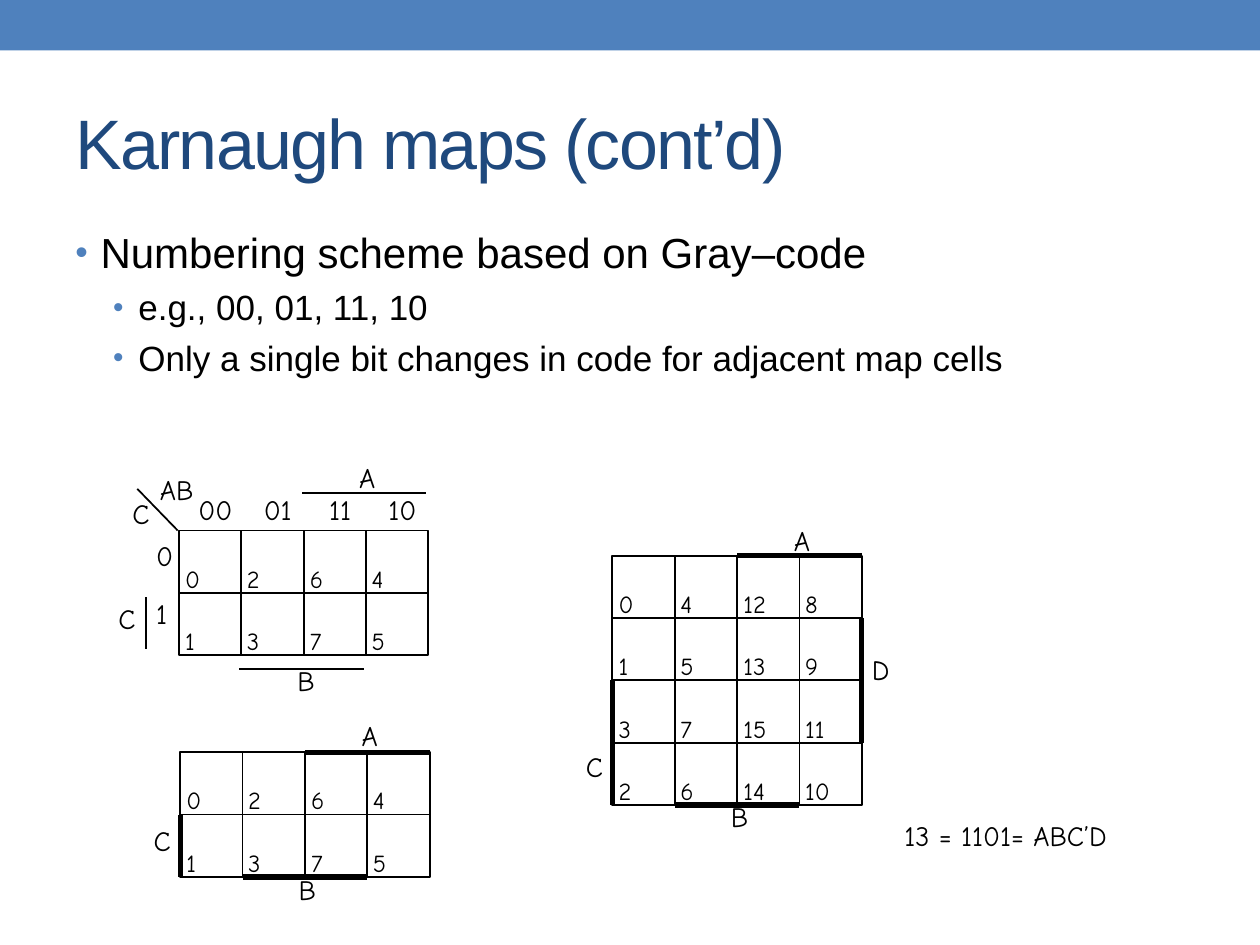
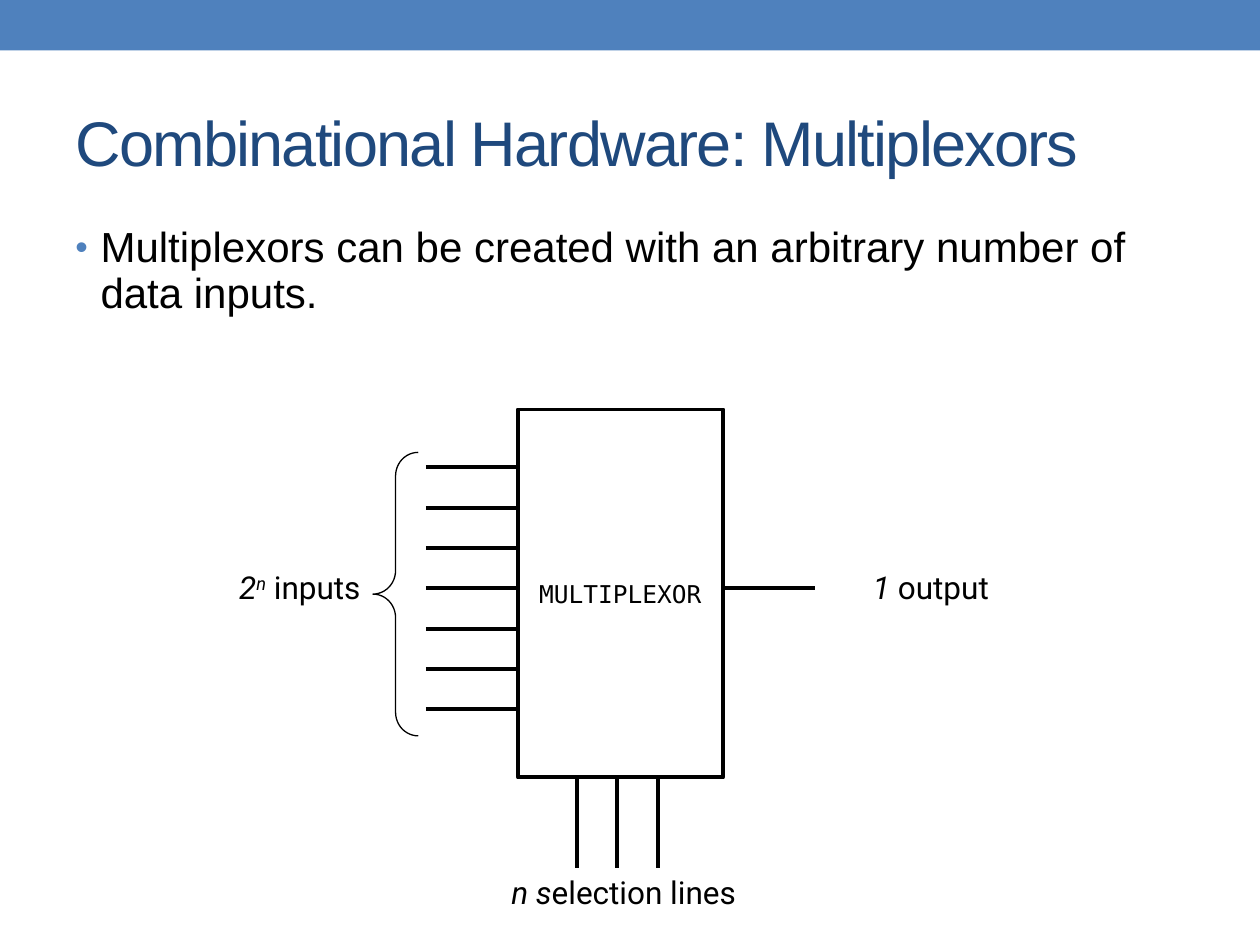
from lxml.etree import SubElement
from pptx import Presentation
from pptx.dml.color import RGBColor
from pptx.enum.shapes import MSO_CONNECTOR, MSO_SHAPE
from pptx.enum.text import MSO_ANCHOR, PP_ALIGN
from pptx.oxml.ns import qn
from pptx.util import Inches, Pt

BLUE, NAVY, BLACK, WHITE = "4F81BD", "1F497D", "000000", "FFFFFF"
BODY_FONT, MAP_FONT, CODE_FONT, LABEL_FONT = "Arial", "Comic Neue", "DejaVu Sans Mono", "Roboto"
QUAD = 0.99
CELL = QUAD / 2


def color(value):
    return RGBColor.from_string(value)


def write_text(paragraph, text, size=18, font=BODY_FONT, fill=BLACK,
               italic=False, spacing=None, baseline=None):
    run = paragraph.add_run()
    run.text = text
    run.font.size = Pt(size)
    run.font.name = font
    run.font.italic = italic
    run.font.color.rgb = color(fill)
    properties = run.font._element
    if spacing is not None:
        properties.set("spc", str(spacing))
    if baseline is not None:
        properties.set("baseline", str(baseline))


class Deck:
    """Holds the shared style and the slide being drawn."""

    def __init__(self):
        self.presentation = Presentation()
        self.presentation.slide_width = Inches(10)
        self.presentation.slide_height = Inches(7.5)
        self.slide = None

    def new_slide(self, title, size):
        layout = self.presentation.slide_layouts[6]
        self.slide = self.presentation.slides.add_slide(layout)
        self.shape(MSO_SHAPE.RECTANGLE, 0, 0, 10, 0.4, fill=BLUE)
        frame = self.text_frame(0.5, 0.58, 9, 1.08)
        frame.vertical_anchor = MSO_ANCHOR.MIDDLE
        write_text(frame.paragraphs[0], title, size=size, fill=NAVY, spacing=-100)

    def shape(self, kind, left, top, width, height, fill=None, line_width=None):
        shape = self.slide.shapes.add_shape(
            kind, Inches(left), Inches(top), Inches(width), Inches(height))
        shape.shadow.inherit = False
        if fill:
            shape.fill.solid()
            shape.fill.fore_color.rgb = color(fill)
        else:
            shape.fill.background()
        if line_width:
            shape.line.color.rgb = color(BLACK)
            shape.line.width = Pt(line_width)
        else:
            shape.line.fill.background()
        return shape

    def line(self, start_x, start_y, end_x, end_y, width=1):
        connector = self.slide.shapes.add_connector(
            MSO_CONNECTOR.STRAIGHT, Inches(start_x), Inches(start_y),
            Inches(end_x), Inches(end_y))
        connector.line.color.rgb = color(BLACK)
        connector.line.width = Pt(width)
        SubElement(connector._element.spPr, qn("a:effectLst"))
        return connector

    def text_frame(self, left, top, width, height, wrap=True, inset=None):
        box = self.slide.shapes.add_textbox(
            Inches(left), Inches(top), Inches(width), Inches(height))
        frame = box.text_frame
        frame.word_wrap = wrap
        if inset:
            frame.margin_left = frame.margin_right = Inches(inset[0])
            frame.margin_top = frame.margin_bottom = Inches(inset[1])
        return frame

    def bullets(self, items, line_spacing=None):
        frame = self.text_frame(0.5, 1.75, 9, 5.33)
        for index, (level, text) in enumerate(items):
            paragraph = frame.add_paragraph() if index else frame.paragraphs[0]
            paragraph.level = level
            paragraph.space_before = Pt(5 if index else 3)
            if line_spacing:
                paragraph.line_spacing = line_spacing
            properties = paragraph._element.get_or_add_pPr()
            properties.set("marL", str(Inches(0.5 if level else 0.2)))
            properties.set("indent", str(Inches(-0.2)))
            bullet_color = SubElement(properties, qn("a:buClr"))
            SubElement(bullet_color, qn("a:srgbClr"), val=BLUE)
            SubElement(properties, qn("a:buSzPct"), val="85000")
            SubElement(properties, qn("a:buFont"), typeface=BODY_FONT)
            SubElement(properties, qn("a:buChar"), char="•")
            write_text(paragraph, text, size=20 if level else 24)

    def map_label(self, text, left, top, width=0.63, align=PP_ALIGN.LEFT):
        frame = self.text_frame(left, top, width, 0.36, wrap=False, inset=(0.02, 0.03))
        paragraph = frame.paragraphs[0]
        paragraph.alignment = align
        paragraph.line_spacing = Pt(15.8)
        write_text(paragraph, text, size=16, font=MAP_FONT)

    def quad(self, left, top, rows):
        frame = self.text_frame(left + 0.03, top + 0.22, 0.89, 0.88,
                                wrap=False, inset=(0.02, 0.03))
        for index, row in enumerate(rows):
            paragraph = frame.add_paragraph() if index else frame.paragraphs[0]
            paragraph.line_spacing = Pt(17.8)
            paragraph.space_before = Pt(17.8 if index else 0)
            tabs = SubElement(paragraph._element.get_or_add_pPr(), qn("a:tabLst"))
            SubElement(tabs, qn("a:tab"), pos=str(Inches(0.49)), algn="l")
            write_text(paragraph, "\t".join(map(str, row)), size=14, font=MAP_FONT)
        square = self.shape(MSO_SHAPE.RECTANGLE, left, top, QUAD, QUAD, line_width=1)
        for begin, end in ((0, 2), (1, 3)):
            divider = self.line(left, top, left + QUAD, top + QUAD)
            divider.begin_connect(square, begin)
            divider.end_connect(square, end)

    def karnaugh_map(self, left, top, cells):
        for row in range(0, len(cells), 2):
            for column in (0, 2):
                self.quad(left + column * CELL, top + row * CELL,
                          [line[column:column + 2] for line in cells[row:row + 2]])

    def edge(self, left, top, start, end):
        self.line(left + start[0] * CELL, top + start[1] * CELL,
                  left + end[0] * CELL, top + end[1] * CELL, width=3)

    def label(self, runs, left, top, width, align=PP_ALIGN.LEFT):
        paragraph = self.text_frame(left, top, width, 0.4).paragraphs[0]
        paragraph.alignment = align
        for text, style in runs:
            write_text(paragraph, text, font=LABEL_FONT, **style)


def draw_karnaugh_slide(deck):
    deck.new_slide("Karnaugh maps (cont’d)", 40)
    deck.bullets([
        (0, "Numbering scheme based on Gray–code"),
        (1, "e.g., 00, 01, 11, 10"),
        (1, "Only a single bit changes in code for adjacent map cells"),
    ])
    three_variables = [(0, 2, 6, 4), (1, 3, 7, 5)]
    four_variables = [(0, 4, 12, 8), (1, 5, 13, 9), (3, 7, 15, 11), (2, 6, 14, 10)]

    deck.karnaugh_map(1.42, 4.21, three_variables)
    for column, code in enumerate(("00", "01", "11", "10")):
        deck.map_label(code, 1.41 + column * CELL, 3.93, 0.6, PP_ALIGN.CENTER)
    for ends in ((1.41, 4.21, 1.09, 3.88), (2.4, 3.91, 3.38, 3.91),
                 (1.9, 5.31, 2.89, 5.31), (1.16, 4.74, 1.16, 5.15)):
        deck.line(*ends)

    deck.karnaugh_map(1.43, 5.97, three_variables)
    for start, end in (((2, 0), (4, 0)), ((1, 2), (3, 2)), ((0, 1), (0, 2))):
        deck.edge(1.43, 5.97, start, end)

    deck.karnaugh_map(4.86, 4.41, four_variables)
    for start, end in (((2, 0), (4, 0)), ((4, 1), (4, 3)),
                       ((1, 4), (3, 4)), ((0, 2), (0, 4))):
        deck.edge(4.86, 4.41, start, end)

    for text, left, top in (
            ("AB", 1.25, 3.77), ("C", 1.03, 3.96), ("0", 1.22, 4.29), ("1", 1.22, 4.75),
            ("C", 0.92, 4.79), ("B", 2.34, 5.28), ("A", 2.83, 3.67),
            ("C", 1.2, 6.55), ("B", 2.35, 6.94), ("A", 2.85, 5.72),
            ("D", 6.9, 5.2), ("A", 6.28, 4.17), ("C", 4.63, 5.97), ("B", 5.78, 6.36)):
        deck.map_label(text, left, top)
    frame = deck.text_frame(7.08, 6.45, 1.93, 0.36, wrap=False)
    write_text(frame.paragraphs[0], "13 = 1101= ABC’D", size=16, font=MAP_FONT)


def draw_multiplexor_slide(deck):
    deck.new_slide("Combinational Hardware: Multiplexors", 36)
    deck.bullets([(0, "Multiplexors can be created with an arbitrary number of data inputs.")],
                 line_spacing=0.9)
    multiplexor = deck.shape(MSO_SHAPE.RECTANGLE, 4.11, 3.25, 1.63, 2.92,
                             fill=WHITE, line_width=2.25)
    multiplexor.text_frame.vertical_anchor = MSO_ANCHOR.MIDDLE
    paragraph = multiplexor.text_frame.paragraphs[0]
    paragraph.alignment = PP_ALIGN.CENTER
    write_text(paragraph, "MULTIPLEXOR", size=14, font=CODE_FONT)

    pitch = 0.32
    for index in range(7):
        height = 3.71 + index * pitch
        deck.line(3.38, height, 4.1, height, width=2.25)
    for index in range(3):
        position = 4.58 + index * pitch
        deck.line(position, 6.17, position, 6.89, width=2.25)
    deck.line(5.74, 4.67, 6.47, 4.67, width=2.25)

    brace = deck.shape(MSO_SHAPE.LEFT_BRACE, 2.96, 3.59, 0.36, 2.25, line_width=0.75)
    brace.adjustments[0] = 0.52
    brace.adjustments[1] = 0.5

    italic = {"italic": True}
    deck.label([("1", italic), (" output", {})], 6.83, 4.46, 1.33)
    deck.label([("2", italic), ("n", {"italic": True, "baseline": 30000}), (" inputs", {})],
               1.25, 4.46, 1.71, PP_ALIGN.RIGHT)
    deck.label([("n s", italic), ("election lines", {})], 3.74, 6.88, 2.42, PP_ALIGN.CENTER)


def main():
    deck = Deck()
    draw_karnaugh_slide(deck)
    draw_multiplexor_slide(deck)
    deck.presentation.save("out.pptx")


if __name__ == "__main__":
    main()
